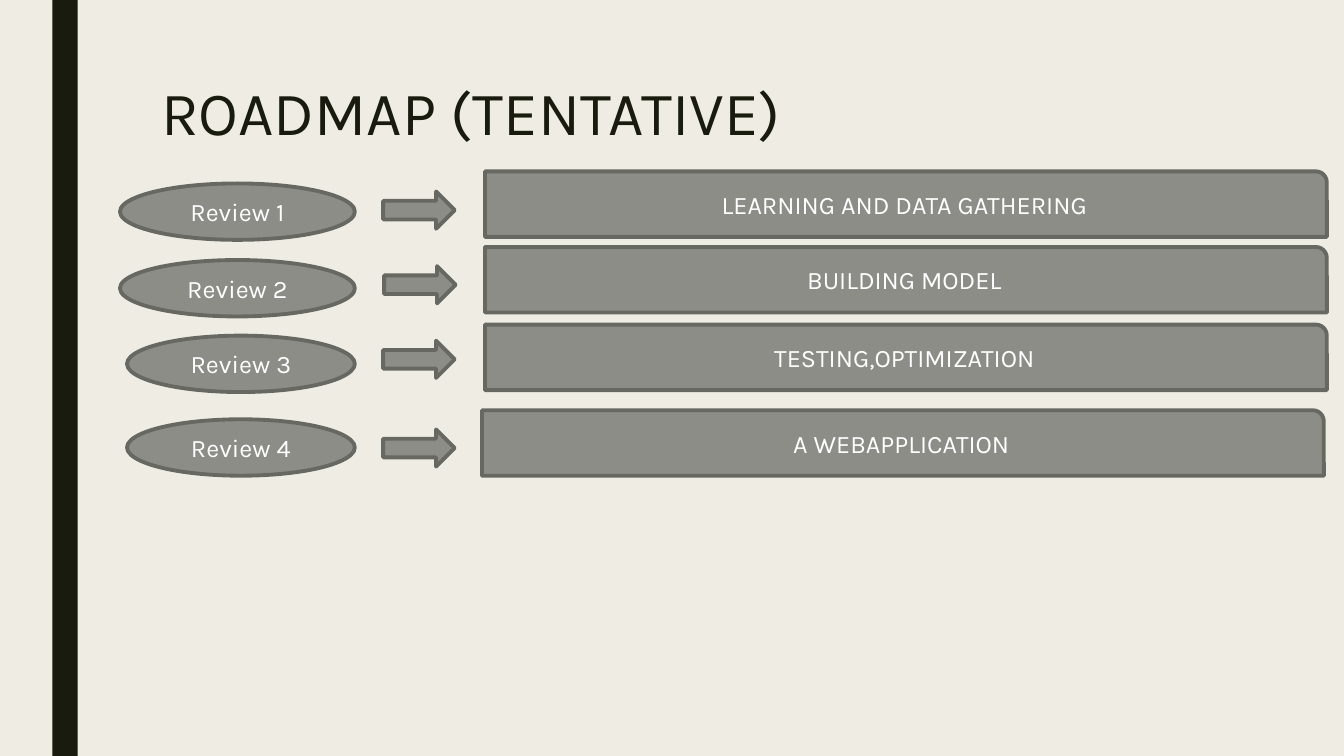
from pptx import Presentation
from pptx.dml.color import RGBColor
from pptx.enum import shapes, text
from pptx.util import Inches, Pt

COLORS = {"background": "EFEDE3", "dark": "191B0E", "fill": "8C8D86",
          "outline": "686863", "label": "FFFFFF"}
KIND = shapes.MSO_SHAPE


def write(shape, words, size, color, alignment):
    frame = shape.text_frame
    frame.word_wrap = True
    frame.vertical_anchor = text.MSO_ANCHOR.MIDDLE
    paragraph = frame.paragraphs[0]
    paragraph.text = words
    paragraph.alignment = alignment
    font_format = {"name": "Karla", "size": Pt(size)}
    for attribute, value in font_format.items():
        setattr(paragraph.font, attribute, value)
    paragraph.font.color.rgb = RGBColor.from_string(COLORS[color])
    return paragraph


def add_block(slide, kind, box, fill, outline=None):
    shape = slide.shapes.add_shape(kind, *[Inches(length) for length in box])
    shape.shadow.inherit = False
    shape.fill.solid()
    shape.fill.fore_color.rgb = RGBColor.from_string(COLORS[fill])
    if outline:
        shape.line.color.rgb = RGBColor.from_string(COLORS[outline])
        shape.line.width = Pt(2.75)
    else:
        shape.line.fill.background()
    return shape


presentation = Presentation()
presentation.slide_width = Inches(13.33)
presentation.slide_height = Inches(7.5)
slide = presentation.slides.add_slide(presentation.slide_layouts[6])
slide.background.fill.solid()
slide.background.fill.fore_color.rgb = RGBColor.from_string(COLORS["background"])

# Side stripe and title
add_block(slide, KIND.RECTANGLE, (0.52, 0, 0.25, 7.5), "dark")
title = slide.shapes.add_textbox(Inches(1.5), Inches(0.75), Inches(10.5), Inches(0.79))
title_line = write(title, "ROADMAP (TENTATIVE)", 44, "dark", text.PP_ALIGN.LEFT)
title_line.line_spacing = 0.89

# Roadmap rows: left and top of the review, the arrow and the stage
rows = [
    ("LEARNING AND DATA GATHERING", (1.19, 1.82), (3.8, 1.9), (4.81, 1.7)),
    ("BUILDING MODEL", (1.19, 2.58), (3.81, 2.64), (4.81, 2.45)),
    ("TESTING,OPTIMIZATION", (1.26, 3.33), (3.8, 3.38), (4.81, 3.22)),
    ("A WEBAPPLICATION", (1.26, 4.16), (3.8, 4.26), (4.78, 4.07)),
]
review_right = 3.52
for number, (stage, review_at, arrow_at, stage_at) in enumerate(rows, 1):
    review_size = (review_right - review_at[0], 0.56)
    parts = [
        (KIND.FLOWCHART_CONNECTOR, review_at + review_size, f"Review {number}"),
        (KIND.RIGHT_ARROW, arrow_at + (0.71, 0.37), None),
        (KIND.ROUND_1_RECTANGLE, stage_at + (8.35, 0.65), stage),
    ]
    for kind, box, words in parts:
        shape = add_block(slide, kind, box, "fill", "outline")
        if words:
            write(shape, words, 18, "label", text.PP_ALIGN.CENTER)

presentation.save("out.pptx")
